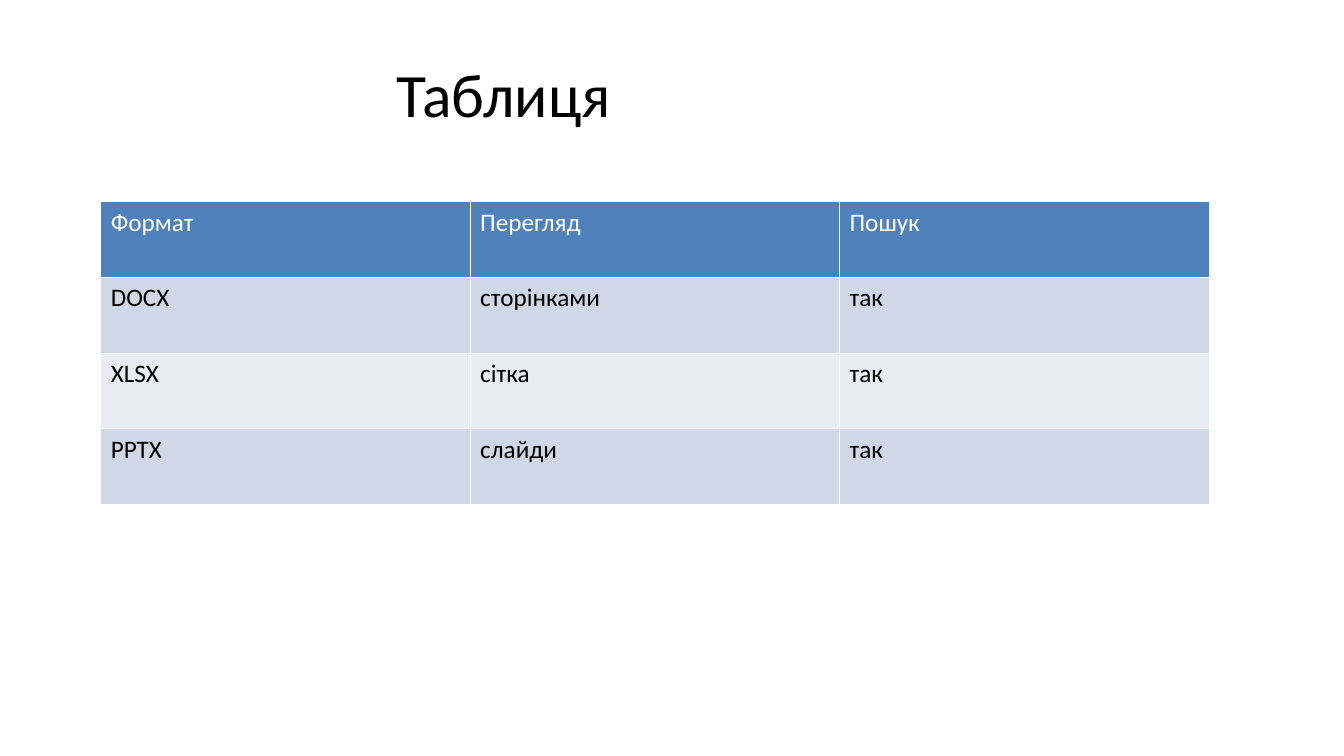
from lxml import etree
from pptx import Presentation
from pptx import util as u
from pptx.dml.color import RGBColor
from pptx.enum import text
from pptx.oxml import ns

BLACK = RGBColor(0x00, 0x00, 0x00)
WHITE = RGBColor(0xFF, 0xFF, 0xFF)
HEADER_BLUE = RGBColor(0x4F, 0x81, 0xBD)
BANDS = (RGBColor(0xE9, 0xEC, 0xF3), RGBColor(0xD0, 0xD8, 0xE7))

FORMATS = (
    ("Формат", "Перегляд", "Пошук"),
    ("DOCX", "сторінками", "так"),
    ("XLSX", "сітка", "так"),
    ("PPTX", "слайди", "так"),
)
ROW_HEIGHT = u.Inches(0.75)


def write(tf, words, size=18, color=BLACK, align=text.PP_ALIGN.LEFT, spacing=1.0):
    p = tf.paragraphs[0]
    p.alignment = align
    p.line_spacing = spacing
    r = p.add_run()
    r.text = words
    r.font.name = "Calibri"
    r.font.size = u.Pt(size)
    r.font.color.rgb = color


def add_borders(cell, color=WHITE, width=0.45):
    """Line all four sides of a cell; call before the fill is set."""
    tc_pr = cell._tc.get_or_add_tcPr()
    for side in ("lnL", "lnR", "lnT", "lnB"):
        ln = etree.SubElement(tc_pr, ns.qn(f"a:{side}"), w=str(u.Pt(width)))
        fill = etree.SubElement(ln, ns.qn("a:solidFill"))
        etree.SubElement(fill, ns.qn("a:srgbClr"), val=str(color))


def add_title(s, words):
    title = s.shapes.title
    title.left, title.top = u.Inches(0.5), u.Inches(0.3)
    title.width, title.height = u.Inches(9), u.Inches(1.25)
    tf = title.text_frame
    tf.vertical_anchor = text.MSO_ANCHOR.MIDDLE
    write(tf, words, size=44, align=text.PP_ALIGN.CENTER)


def add_format_table(s, rows):
    table = s.shapes.add_table(
        len(rows), len(rows[0]), u.Inches(1), u.Inches(2),
        u.Inches(11), ROW_HEIGHT * len(rows)).table
    for i, row in enumerate(rows):
        for j, words in enumerate(row):
            cell = table.cell(i, j)
            add_borders(cell)
            cell.fill.solid()
            cell.fill.fore_color.rgb = BANDS[i % 2] if i else HEADER_BLUE
            write(cell.text_frame, words, color=BLACK if i else WHITE, spacing=1.02)


def main():
    prs = Presentation()
    prs.slide_width, prs.slide_height = u.Inches(13.34), u.Inches(7.5)
    s = prs.slides.add_slide(prs.slide_layouts[5])
    add_title(s, "Таблиця")
    add_format_table(s, FORMATS)
    prs.save("out.pptx")


if __name__ == "__main__":
    main()
